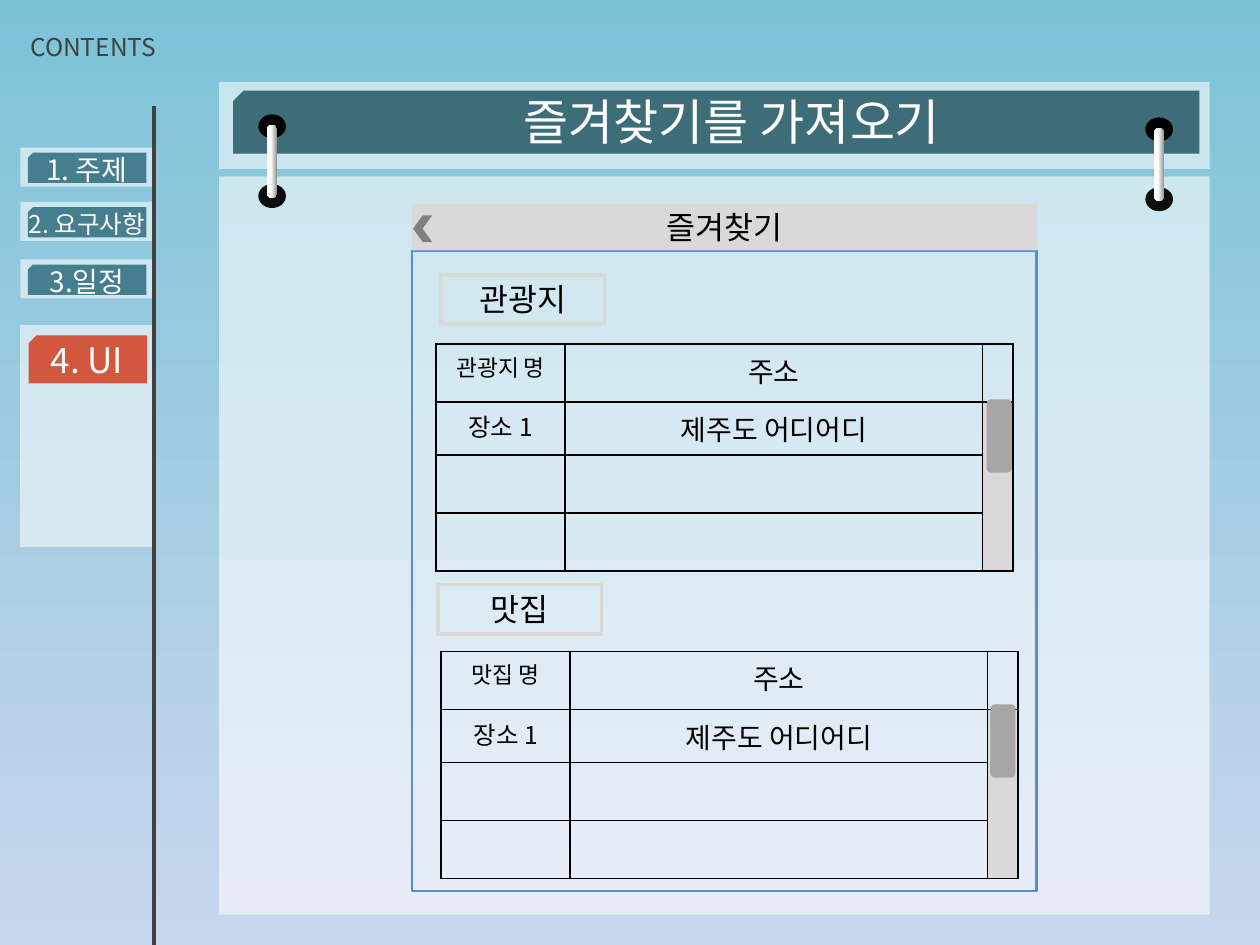
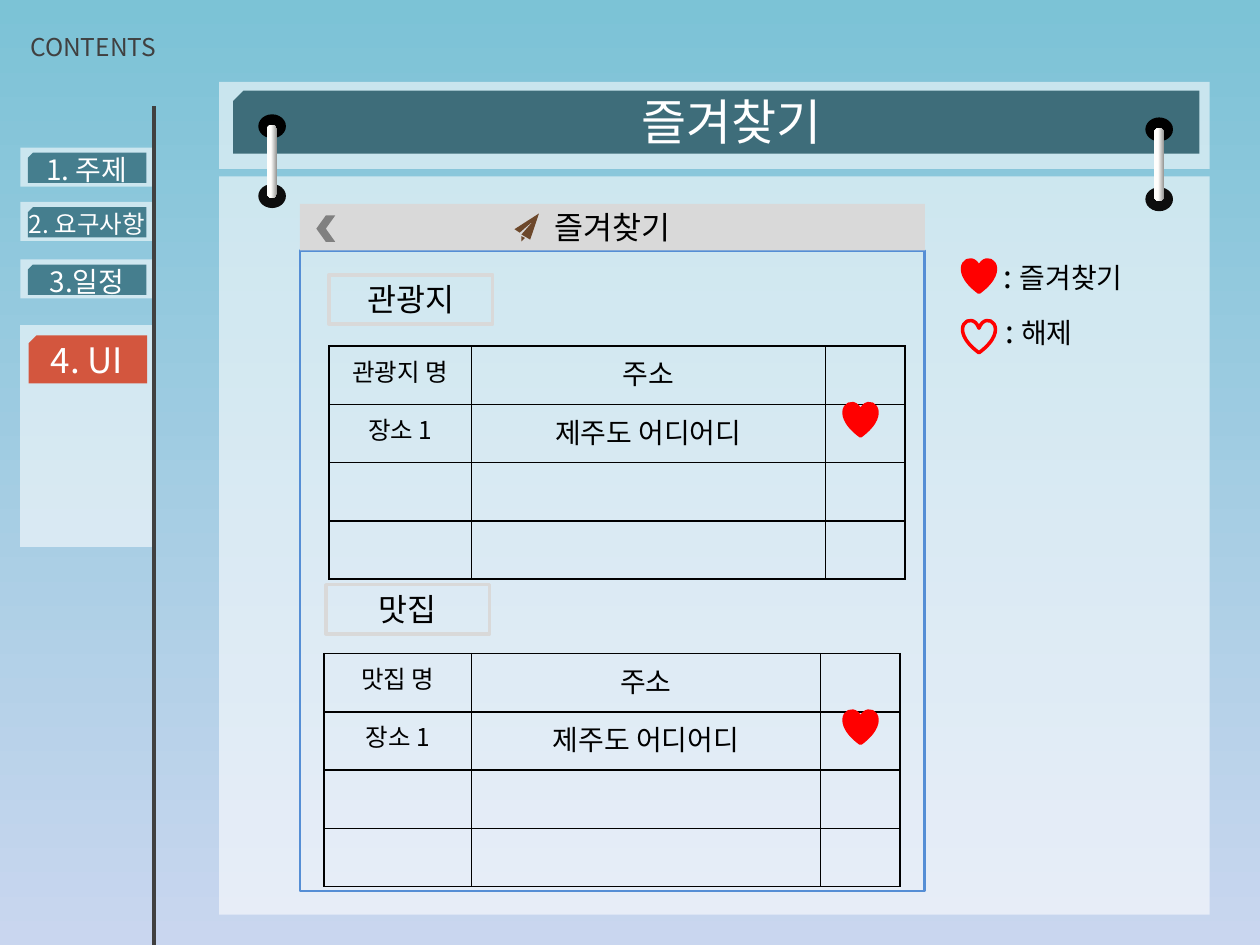
from dataclasses import dataclass
from typing import Optional

from lxml.etree import SubElement
from pptx import Presentation
from pptx.dml.color import RGBColor
from pptx.enum.shapes import MSO_CONNECTOR, MSO_SHAPE as SHAPE
from pptx.enum.text import MSO_ANCHOR as ANCHOR, PP_ALIGN as ALIGN
from pptx.oxml import parse_xml
from pptx.oxml.ns import nsdecls, qn
from pptx.util import Pt

FONT = "Noto Sans CJK KR"
COLORS = {
    "sky": "7CC3D6", "haze": "C9D6EF", "white": "FFFFFF", "black": "000000",
    "dark": "404040", "teal": "266678", "deep_teal": "1E5260",
    "active": "D43212", "frame": "558ED5", "light_gray": "D9D9D9",
    "thumb": "A6A6A6", "back": "808080", "hole": "0D0D0D",
    "ring_dark": "979795", "ring_light": "FFFEFC", "heart": "FF0000",
    "plane": "6D482B",
}
PANEL_WIDTH = 357.1
HEART_SIZE = 18.7
PLANE_BODY = [(308.2, 121.7), (303.1, 136.8), (298.1, 133.9),
              (304.6, 126), (297.4, 133.2), (293.8, 131)]
PLANE_TAIL = [(298.1, 135.4), (300.2, 136.1), (298.1, 137.5)]


@dataclass
class NavItem:
    label: str
    size: float
    top: float


@dataclass
class PlaceTable:
    heading: str
    heading_size: float
    left: float
    top: float
    col_widths: list[float]
    row_heights: list[float]
    has_scroll_track: bool = False


@dataclass
class Box:
    left: float
    top: float
    width: float
    height: float

    def lengths(self) -> list[Pt]:
        return [Pt(v) for v in (self.left, self.top, self.width, self.height)]


NAV_ITEMS = [NavItem("1. 주제", 16, 84.3), NavItem("2. 요구사항", 14, 115.4),
             NavItem("3.일정", 16, 148.2)]


def rgb(name: str) -> RGBColor:
    return RGBColor.from_string(COLORS[name])


def write(tf, runs: list[tuple[str, float]], color: str = "black",
          align=ALIGN.CENTER) -> None:
    """Fill the first paragraph with (text, size) runs."""
    p = tf.paragraphs[0]
    p.alignment = align
    for text, size in runs:
        r = p.add_run()
        r.text = text
        r.font.size = Pt(size)
        r.font.name = FONT
        r.font.color.rgb = rgb(color)
        SubElement(r.font._element, qn("a:ea"), typeface=FONT)


def add_text(slide, box: Box, runs: list[tuple[str, float]],
             color: str = "white", align=ALIGN.CENTER, anchor=ANCHOR.MIDDLE) -> None:
    tf = slide.shapes.add_textbox(*box.lengths()).text_frame
    tf.word_wrap = True
    tf.vertical_anchor = anchor
    write(tf, runs, color, align)


def paint(sp, fill: Optional[str], alpha: int = 100,
          line: Optional[str] = None, line_width: float = 1) -> None:
    sp.shadow.inherit = False
    if fill:
        sp.fill.solid()
        sp.fill.fore_color.rgb = rgb(fill)
        if alpha < 100:
            clr = sp._element.spPr.find(".//" + qn("a:srgbClr"))
            SubElement(clr, qn("a:alpha"), val=str(alpha * 1000))
    else:
        sp.fill.background()
    if line:
        sp.line.color.rgb = rgb(line)
        sp.line.width = Pt(line_width)
    else:
        sp.line.fill.background()


def add_shape(slide, kind, box: Box, fill: Optional[str] = None, alpha: int = 100,
              line: Optional[str] = None, line_width: float = 1, flip: bool = False):
    sp = slide.shapes.add_shape(kind, *box.lengths())
    paint(sp, fill, alpha, line, line_width)
    if flip:
        sp._element.spPr.get_or_add_xfrm().set("flipH", "1")
    return sp


def set_gradient(fill, stops: list[tuple[str, float]], angle: float) -> None:
    fill.gradient()
    fill.gradient_angle = angle
    for stop, (color, position) in zip(fill.gradient_stops, stops):
        stop.color.rgb = rgb(color)
        stop.position = position


def add_nav(slide) -> None:
    add_text(slide, Box(6.5, 1.4, 93.6, 51.1), [("CONTENTS", 14)], "dark")
    add_shape(slide, SHAPE.RECTANGLE, Box(11.5, 185.8, 76.3, 126.7), "white", 57)
    add_shape(slide, SHAPE.SNIP_1_RECTANGLE, Box(16.4, 191.6, 67.7, 27.4),
              "active", 80, flip=True)
    add_text(slide, Box(6.5, 191.6, 86.4, 27.4), [("4. UI", 20)])
    for item in NAV_ITEMS:
        add_shape(slide, SHAPE.RECTANGLE, Box(11.7, item.top, 76.3, 22.3), "white", 57)
        add_shape(slide, SHAPE.SNIP_1_RECTANGLE, Box(16, item.top + 3, 67.7, 17.3),
                  "teal", 81, flip=True)
        add_text(slide, Box(6.5, item.top - 10.3, 86.4, 45.4), [(item.label, item.size)])
    rail = slide.shapes.add_connector(MSO_CONNECTOR.STRAIGHT,
                                      Pt(87.8), Pt(540), Pt(87.8), Pt(60.5))
    rail.line.color.rgb = rgb("dark")
    rail.line.width = Pt(2.25)
    SubElement(rail._element.spPr, qn("a:effectLst"))


def add_ring(slide, left: float, top: float) -> None:
    """Draw a binder ring: two holes and the metal bar that joins them."""
    add_shape(slide, SHAPE.OVAL, Box(left, top + 39.9, 15.8, 13.7), "hole")
    add_shape(slide, SHAPE.OVAL, Box(left, top, 15.8, 13.7), "black")
    bar = add_shape(slide, SHAPE.ROUNDED_RECTANGLE, Box(left + 5, top + 6, 5.8, 41.8), "white")
    bar.adjustments[0] = 0.5
    set_gradient(bar.fill, [("ring_dark", 0.04), ("ring_light", 0.61)], 180)


def add_base_slide(prs, title: str):
    slide = prs.slides.add_slide(prs.slide_layouts[6])
    set_gradient(slide.background.fill, [("sky", 0), ("haze", 1)], 270)
    add_nav(slide)
    add_shape(slide, SHAPE.RECTANGLE, Box(125.3, 100.8, 565.9, 421.9), "white", 58)
    add_shape(slide, SHAPE.RECTANGLE, Box(125.3, 46.8, 565.9, 49.7), "white", 57)
    add_shape(slide, SHAPE.SNIP_1_RECTANGLE, Box(133.2, 51.8, 552.2, 36),
              "deep_teal", 81, flip=True)
    add_text(slide, Box(263.5, 27.4, 309.6, 82.8), [(title, 28)])
    add_ring(slide, 147.6, 65.3)
    add_ring(slide, 654.5, 67.1)
    return slide


def add_app_screen(slide, left: float, back_inset: float) -> None:
    add_shape(slide, SHAPE.RECTANGLE, Box(left, 143.3, PANEL_WIDTH, 365.8),
              line="frame", line_width=1.5)
    header = add_shape(slide, SHAPE.RECTANGLE, Box(left, 116.6, PANEL_WIDTH, 26.6), "light_gray")
    write(header.text_frame, [("즐겨찾기", 18)])
    for label, inset, top in (("관광지", 16.6, 157), ("맛집", 14.8, 334.1)):
        tag = add_shape(slide, SHAPE.RECTANGLE, Box(left + inset, top, 93.6, 28.1),
                        line="light_gray", line_width=2)
        write(tag.text_frame, [(label, 18)])
    add_shape(slide, SHAPE.CHEVRON, Box(left + back_inset, 123.1, 10.8, 15.1),
              "back", flip=True)


def set_borders(cell) -> None:
    tc_pr = cell._tc.get_or_add_tcPr()
    for i, side in enumerate("LRTB"):
        tc_pr.insert(i, parse_xml(
            f'<a:ln{side} {nsdecls("a")} w="12700"><a:solidFill>'
            f'<a:srgbClr val="{COLORS["black"]}"/></a:solidFill></a:ln{side}>'))


def add_place_table(slide, spec_: PlaceTable) -> None:
    box = Box(spec_.left, spec_.top, sum(spec_.col_widths), sum(spec_.row_heights))
    table = slide.shapes.add_table(len(spec_.row_heights), len(spec_.col_widths),
                                   *box.lengths()).table
    table.first_row = table.horz_banding = False
    for col, width in zip(table.columns, spec_.col_widths):
        col.width = Pt(width)
    for row, height in zip(table.rows, spec_.row_heights):
        row.height = Pt(height)
    for cell in table.iter_cells():
        set_borders(cell)
        cell.fill.background()
    rows = [[(spec_.heading, spec_.heading_size), ("주소", 16)],
            [("장소 1", 14), ("제주도 어디어디", 16)]]
    for r, row_runs in enumerate(rows):
        for c, run in enumerate(row_runs):
            write(table.cell(r, c).text_frame, [run])
    if spec_.has_scroll_track:
        track = table.cell(1, 2)
        track.merge(table.cell(3, 2))
        track.fill.solid()
        track.fill.fore_color.rgb = rgb("light_gray")


def add_heart(slide, left: float, top: float, filled: bool = True) -> None:
    add_shape(slide, SHAPE.HEART, Box(left, top, HEART_SIZE, HEART_SIZE),
              "heart" if filled else None, line="heart", line_width=2)


def add_paper_plane(slide) -> None:
    builder = slide.shapes.build_freeform(*PLANE_BODY[0], scale=Pt(1))
    builder.add_line_segments(PLANE_BODY[1:], close=True)
    builder.move_to(*PLANE_TAIL[0])
    builder.add_line_segments(PLANE_TAIL[1:], close=True)
    paint(builder.convert_to_shape(), "plane")


def build_import_slide(prs) -> None:
    slide = add_base_slide(prs, "즐겨찾기를 가져오기")
    add_app_screen(slide, 235.4, 0.7)
    cols, rows = [73.7, 238.6, 17.4], [33.2, 30.3, 33.2, 33.2]
    for heading, left, top, thumb_left, thumb_top in (
            ("관광지 명", 249.2, 196.5, 563.8, 228.2),
            ("맛집 명", 252.1, 372.2, 565.9, 402.5)):
        add_place_table(slide, PlaceTable(heading, 13, left, top, cols, rows, True))
        add_shape(slide, SHAPE.ROUNDED_RECTANGLE,
                  Box(thumb_left, thumb_top, 14.4, 41.8), "thumb")


def build_favorites_slide(prs) -> None:
    slide = add_base_slide(prs, "즐겨찾기")
    add_app_screen(slide, 171.4, 9.4)
    rows = [33.3] * 4
    for heading, left, top, cols, heart_top in (
            ("관광지 명", 188, 197.8, [81.4, 202.3, 45.4], 230.4),
            ("맛집 명", 185.2, 373.5, [84.2, 199.4, 45.4], 406.1)):
        add_place_table(slide, PlaceTable(heading, 14, left, top, cols, rows))
        add_heart(slide, 482.4, heart_top)
    for meaning, left, text_top, heart_top, filled in (
            ("즐겨찾기", 566.6, 143.3, 148.3, True),
            ("해제", 567.4, 175, 182.9, False)):
        add_heart(slide, 550.1, heart_top, filled)
        add_text(slide, Box(left, text_top, 89.3, 27.4), [(": ", 18), (meaning, 16)],
                 "black", ALIGN.LEFT, ANCHOR.TOP)
    add_paper_plane(slide)


def main() -> None:
    prs = Presentation()
    prs.slide_width, prs.slide_height = Pt(720), Pt(540)
    build_import_slide(prs)
    build_favorites_slide(prs)
    prs.save("out.pptx")


if __name__ == "__main__":
    main()
